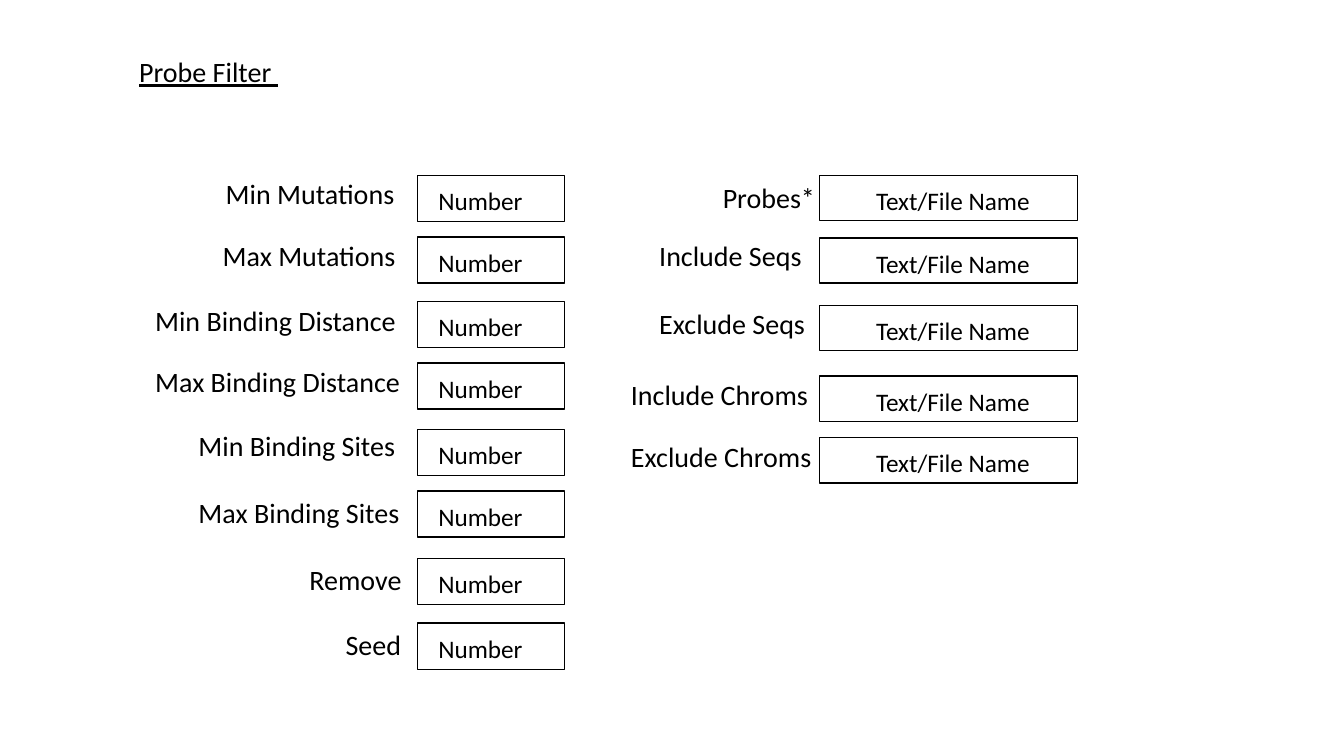
import pptx
import pptx.util
import pptx.dml.color
import pptx.enum.shapes
import pptx.enum.text

Inches = pptx.util.Inches

TITLE = "Probe Filter "
FIELD_GROUPS = [
    {
        "entry": "Number", "left": 4.14, "width": 1.46, "height": 0.46,
        "entry_offset": 0.11, "entry_width": 1.1,
        "rows": [
            ("Min Mutations", 2.14, 1.7, 2.42, 1.74),
            ("Max Mutations", 2.11, 2.32, 2.42, 2.35),
            ("Min Binding Distance", 1.44, 2.96, 2.9, 2.99),
            ("Max Binding Distance", 1.44, 3.57, 2.9, 3.6),
            ("Min Binding Sites", 1.87, 4.2, 2.9, 4.26),
            ("Max Binding Sites", 1.87, 4.87, 2.9, 4.87),
            ("Remove", 2.97, 5.53, 1.81, 5.54),
            ("Seed", 3.33, 6.18, 1.44, 6.18),
        ],
    },
    {
        "entry": "Text/File Name", "left": 8.13, "width": 2.56, "height": 0.45,
        "entry_offset": 0.46, "entry_width": 1.75,
        "rows": [
            ("Probes*", 7.07, 1.74, 1.51, 1.74),
            ("Include Seqs", 6.44, 2.32, 2.33, 2.36),
            ("Exclude Seqs", 6.44, 2.99, 2.33, 3.03),
            ("Include Chroms", 6.16, 3.7, 2.33, 3.73),
            ("Exclude Chroms", 6.16, 4.31, 2.33, 4.34),
        ],
    },
]
LABEL_HEIGHT = 0.44
ENTRY_INSET = 0.05


def color(value):
    return pptx.dml.color.RGBColor.from_string(value)


def write(box, text, size, underline=None):
    frame = box.text_frame
    frame.word_wrap = True
    frame.auto_size = pptx.enum.text.MSO_AUTO_SIZE.SHAPE_TO_FIT_TEXT
    frame.vertical_anchor = pptx.enum.text.MSO_ANCHOR.TOP
    para = frame.paragraphs[0]
    para.alignment = pptx.enum.text.PP_ALIGN.LEFT
    span = para.add_run()
    span.text = text
    span.font.name = "Calibri"
    span.font.size = pptx.util.Pt(size)
    span.font.underline = underline
    span.font.color.rgb = color("000000")


def add_text(shapes, text, size, left, top, width, height):
    box = shapes.add_textbox(Inches(left), Inches(top), Inches(width), Inches(height))
    write(box, text, size)


def add_field(page, field, top):
    shapes = page.shapes.add_group_shape().shapes
    frame = shapes.add_shape(
        pptx.enum.shapes.MSO_SHAPE.RECTANGLE, Inches(field["left"]), Inches(top),
        Inches(field["width"]), Inches(field["height"]))
    frame.shadow.inherit = False
    frame.fill.solid()
    frame.fill.fore_color.rgb = color("FFFFFF")
    frame.line.color.rgb = color("000000")
    frame.line.width = pptx.util.Pt(1)
    add_text(shapes, field["entry"], 18, field["left"] + field["entry_offset"],
             top + ENTRY_INSET, field["entry_width"], field["height"] - 2 * ENTRY_INSET)


def main():
    deck = pptx.Presentation()
    deck.slide_width = Inches(13.33)
    deck.slide_height = Inches(7.5)
    page = deck.slides.add_slide(deck.slide_layouts[5])
    title = page.shapes.title
    title.left, title.top = Inches(1.28), Inches(0.49)
    title.width, title.height = Inches(3.9), Inches(LABEL_HEIGHT)
    write(title, TITLE, 20, underline=True)
    for field in FIELD_GROUPS:
        for label, left, label_top, width, field_top in field["rows"]:
            add_text(page.shapes, label, 20, left, label_top, width, LABEL_HEIGHT)
            add_field(page, field, field_top)
    deck.save("out.pptx")


if __name__ == "__main__":
    main()
